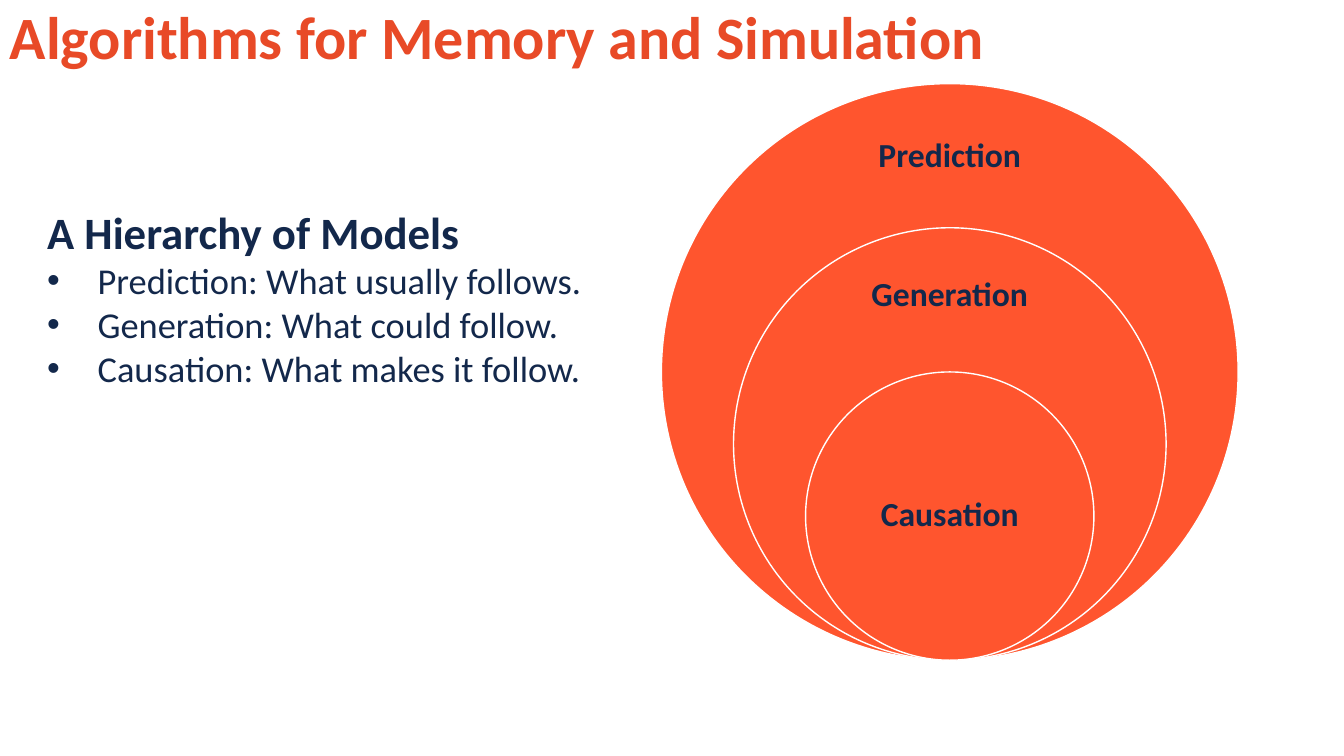
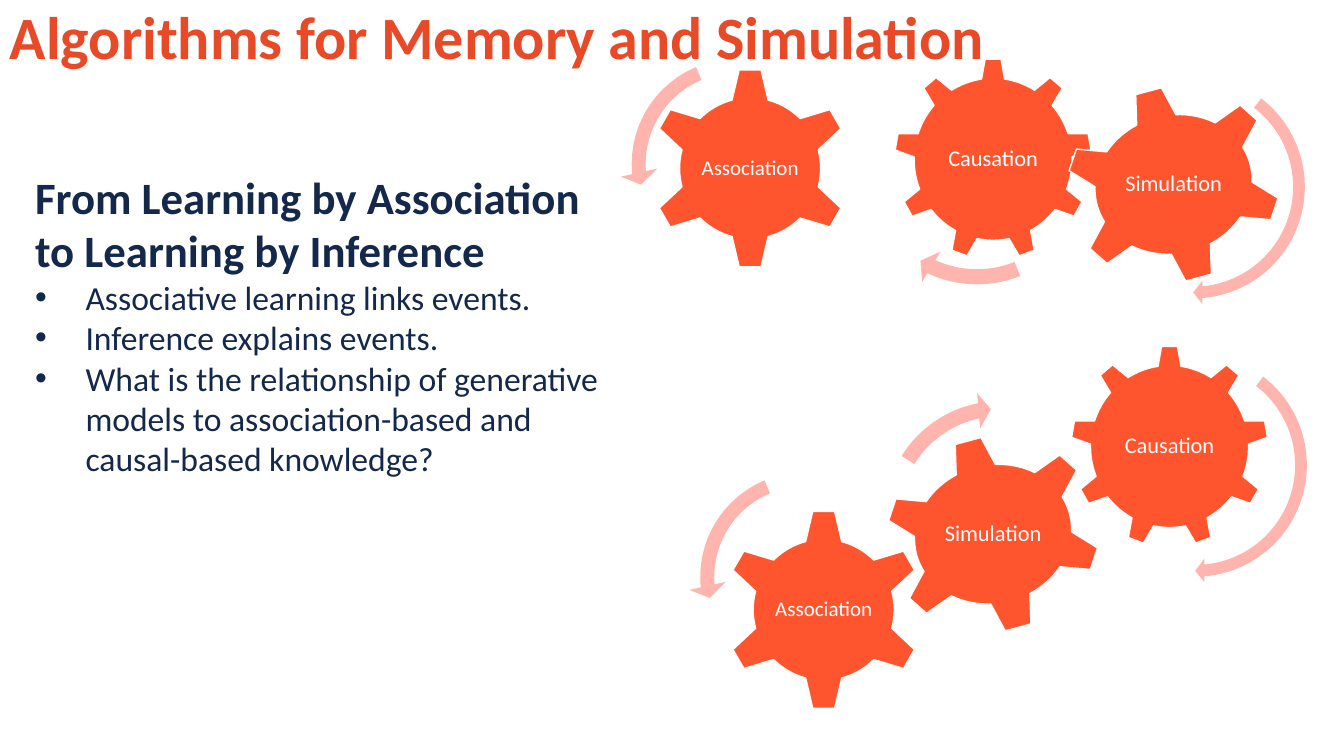
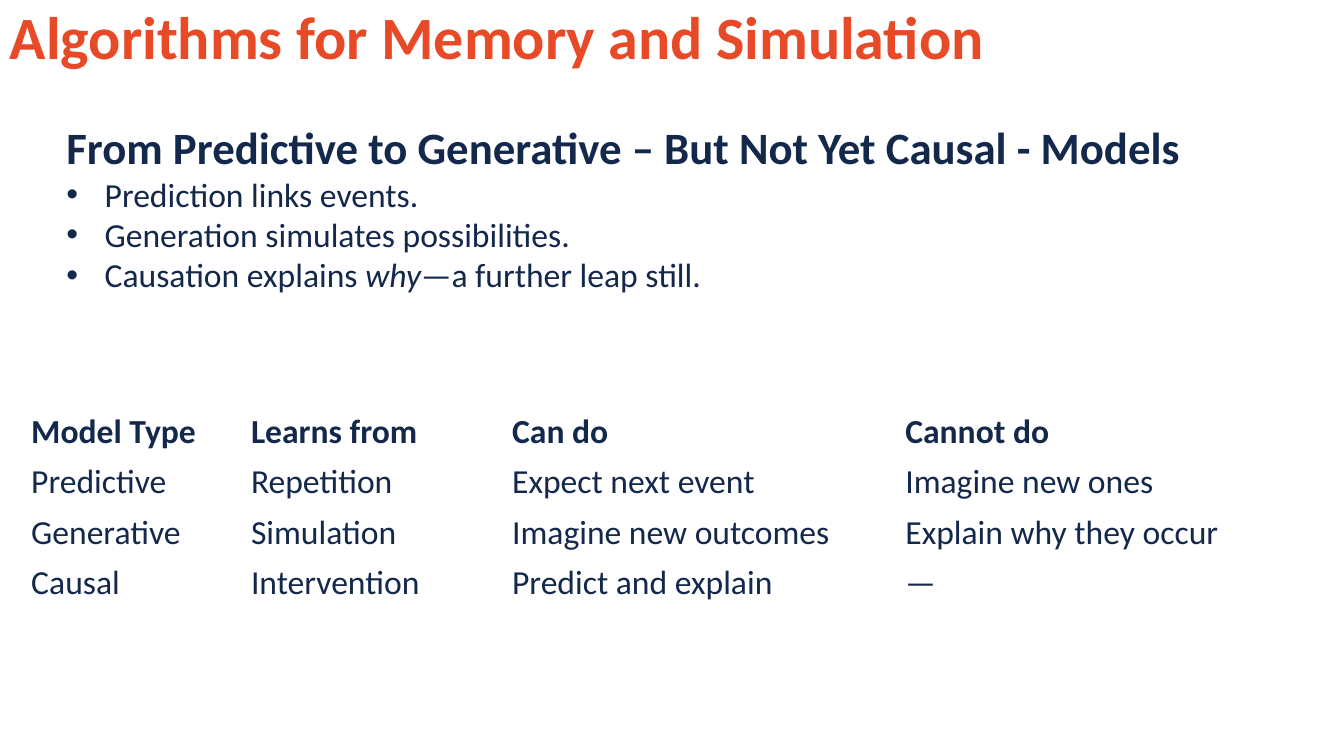
from lxml.etree import SubElement
from pptx import Presentation
from pptx.dml.color import RGBColor
from pptx.enum.shapes import MSO_SHAPE
from pptx.enum.text import MSO_ANCHOR, PP_ALIGN
from pptx.oxml.ns import qn
from pptx.util import Inches, Pt

COLORS = {"title": "E84A27", "text": "13284B", "model": "FF552E",
          "motion": "FFB4AD", "white": "FFFFFF"}

# shape, width, height, rotation, label size
GEARS = {
    "Causation": (MSO_SHAPE.GEAR_9, 1.96, 2, 0, 16),
    "Association": (MSO_SHAPE.GEAR_6, 2, 2, 0, 15),
    "Simulation": (MSO_SHAPE.GEAR_6, 2.16, 1.96, 345, 16),
}

# shape, diameter, adjustments
MOTIONS = {
    "long": (MSO_SHAPE.CIRCULAR_ARROW, 2.33, (0.05, 2.99, 25.15, 158.64, 0.05)),
    "left": (MSO_SHAPE.LEFT_CIRCULAR_ARROW, 2.31, (0.06, 4.3, 104.89, 148.38, 0.08)),
    "short": (MSO_SHAPE.CIRCULAR_ARROW, 2.5, (0.06, 3.94, 133.14, 105.08, 0.07)),
}


class Deck:
    FONT = "Calibri"
    TITLE = "Algorithms for Memory and Simulation"

    def __init__(self):
        self.prs = Presentation()
        self.prs.slide_width, self.prs.slide_height = Inches(13.33), Inches(7.5)
        self.slide = None

    def new_slide(self):
        self.slide = self.prs.slides.add_slide(self.prs.slide_layouts[6])
        frame = self.text_box(0, 0, 12.56, 0.8)
        frame.vertical_anchor = MSO_ANCHOR.MIDDLE
        title = frame.paragraphs[0]
        title.text = self.TITLE
        title.line_spacing = 0.9
        self.format(title, 42.9, "title", bold=True)

    def format(self, paragraph, size, color="text", bold=False):
        for run in paragraph.runs:
            run.font.name, run.font.size, run.font.bold = self.FONT, Pt(size), bold
            run.font.color.rgb = RGBColor.from_string(COLORS[color])

    def text_box(self, left, top, width, height):
        box = self.slide.shapes.add_textbox(
            Inches(left), Inches(top), Inches(width), Inches(height))
        box.text_frame.word_wrap = True
        return box.text_frame

    def points(self, left, top, width, height, heading, items, size=24, indent=0.5):
        """Heading with bullets below; *stars* enclose italic words."""
        frame = self.text_box(left, top, width, height)
        frame.text = heading
        self.format(frame.paragraphs[0], 32, bold=True)
        for item in items:
            bullet = frame.add_paragraph()
            properties = bullet._p.get_or_add_pPr()
            properties.set("marL", str(Inches(indent)))
            properties.set("indent", str(-Inches(indent)))
            SubElement(properties, qn("a:buFont"), typeface="Arial")
            SubElement(properties, qn("a:buChar"), char="•")
            for index, part in enumerate(item.split("*")):
                run = bullet.add_run()
                run.text = part
                run.font.italic = index % 2 == 1
            self.format(bullet, size)

    def label(self, text, center_x, center_y, width, height, size, color, bold=False):
        frame = self.text_box(center_x - width / 2, center_y - height / 2, width, height)
        frame.margin_left = frame.margin_right = 0
        frame.margin_top = frame.margin_bottom = 0
        frame.vertical_anchor = MSO_ANCHOR.MIDDLE
        caption = frame.paragraphs[0]
        caption.text = text
        caption.alignment = PP_ALIGN.CENTER
        caption.line_spacing = 0.9
        self.format(caption, size, color, bold)

    def shape(self, preset, left, top, width, height, fill, outlined=True, rotation=0):
        shape = self.slide.shapes.add_shape(
            preset, Inches(left), Inches(top), Inches(width), Inches(height))
        shape.shadow.inherit = False
        shape.rotation = rotation
        shape.fill.solid()
        shape.fill.fore_color.rgb = RGBColor.from_string(COLORS[fill])
        if outlined:
            shape.line.color.rgb = RGBColor.from_string(COLORS["white"])
            shape.line.width = Pt(1)
        else:
            shape.line.fill.background()
        return shape

    def nested_circles(self, center_x, bottom, diameter, levels):
        """Circles that touch at the bottom, each a quarter of the largest smaller."""
        for step, (name, label_y) in enumerate(levels):
            size = diameter * (1 - step / 4)
            self.shape(MSO_SHAPE.OVAL, center_x - size / 2, bottom - size,
                       size, size, "model")
            self.label(name, center_x, label_y, 2, 0.8, 24, "text", bold=True)

    def gear(self, name, left, top):
        preset, width, height, rotation, size = GEARS[name]
        self.shape(preset, left, top, width, height, "model", rotation=rotation)
        self.label(name, left + width / 2, top + height / 2, 1.2, 1, size, "white")

    def motion(self, kind, left, top, rotation):
        preset, size, adjustments = MOTIONS[kind]
        arrow = self.shape(preset, left, top, size, size, "motion", False, rotation)
        for index, value in enumerate(adjustments):
            arrow.adjustments[index] = value

    def table(self, left, top, widths, row_height, rows):
        table = self.slide.shapes.add_table(
            len(rows), len(widths), Inches(left), Inches(top),
            Inches(sum(widths)), Inches(row_height * len(rows))).table
        table.first_row = table.horz_banding = False
        for column, width in zip(table.columns, widths):
            column.width = Inches(width)
        for row_index, row in enumerate(rows):
            for column_index, text in enumerate(row):
                cell = table.cell(row_index, column_index)
                cell.text = text
                cell.fill.background()
                cell.vertical_anchor = MSO_ANCHOR.MIDDLE
                self.format(cell.text_frame.paragraphs[0], 24, bold=row_index == 0)


def hierarchy_slide(deck):
    deck.new_slide()
    deck.points(0.37, 1.98, 5.91, 1.95, "A Hierarchy of Models", [
        "Prediction: What usually follows.",
        "Generation: What could follow.",
        "Causation: What makes it follow.",
    ], size=26)
    deck.nested_circles(9.42, 6.55, 5.72, [
        ("Prediction", 1.55), ("Generation", 2.93), ("Causation", 5.12)])


def inference_slide(deck):
    deck.new_slide()
    deck.points(0.25, 1.63, 5.91, 3.64,
                "From Learning by Association to Learning by Inference", [
                    "Associative learning links events.",
                    "Inference explains events.",
                    "What is the relationship of generative models to "
                    "association-based and causal-based knowledge?",
                ])
    connected = (
        [("Causation", 10.62, 3.43), ("Association", 7.17, 5.05),
         ("Simulation", 8.77, 4.32)],
        [("long", 10.69, 3.45, 43.1), ("left", 6.83, 4.57, 0),
         ("short", 8.67, 3.88, 36.6)])
    separated = (
        [("Causation", 8.87, 0.58), ("Association", 6.44, 0.67),
         ("Simulation", 10.56, 0.85)],
        [("long", 10.67, 0.69, 43.1), ("left", 6.15, 0.47, 0),
         ("short", 8.44, 0.42, 253)])
    for gears, motions in (connected, separated):
        for gear in gears:
            deck.gear(*gear)
        for motion in motions:
            deck.motion(*motion)


def comparison_slide(deck):
    deck.new_slide()
    deck.points(0.56, 1.14, 12.21, 1.85,
                "From Predictive to Generative – But Not Yet Causal - Models", [
                    "Prediction links events.",
                    "Generation simulates possibilities.",
                    "Causation explains *why*—a further leap still.",
                ], indent=0.38)
    deck.table(0.21, 4.03, (2.18, 2.59, 3.9, 4.23), 0.5, [
        ("Model Type", "Learns from", "Can do", "Cannot do"),
        ("Predictive", "Repetition", "Expect next event", "Imagine new ones"),
        ("Generative", "Simulation", "Imagine new outcomes", "Explain why they occur"),
        ("Causal", "Intervention", "Predict and explain", "—"),
    ])


def main():
    deck = Deck()
    hierarchy_slide(deck)
    inference_slide(deck)
    comparison_slide(deck)
    deck.prs.save("out.pptx")


if __name__ == "__main__":
    main()
